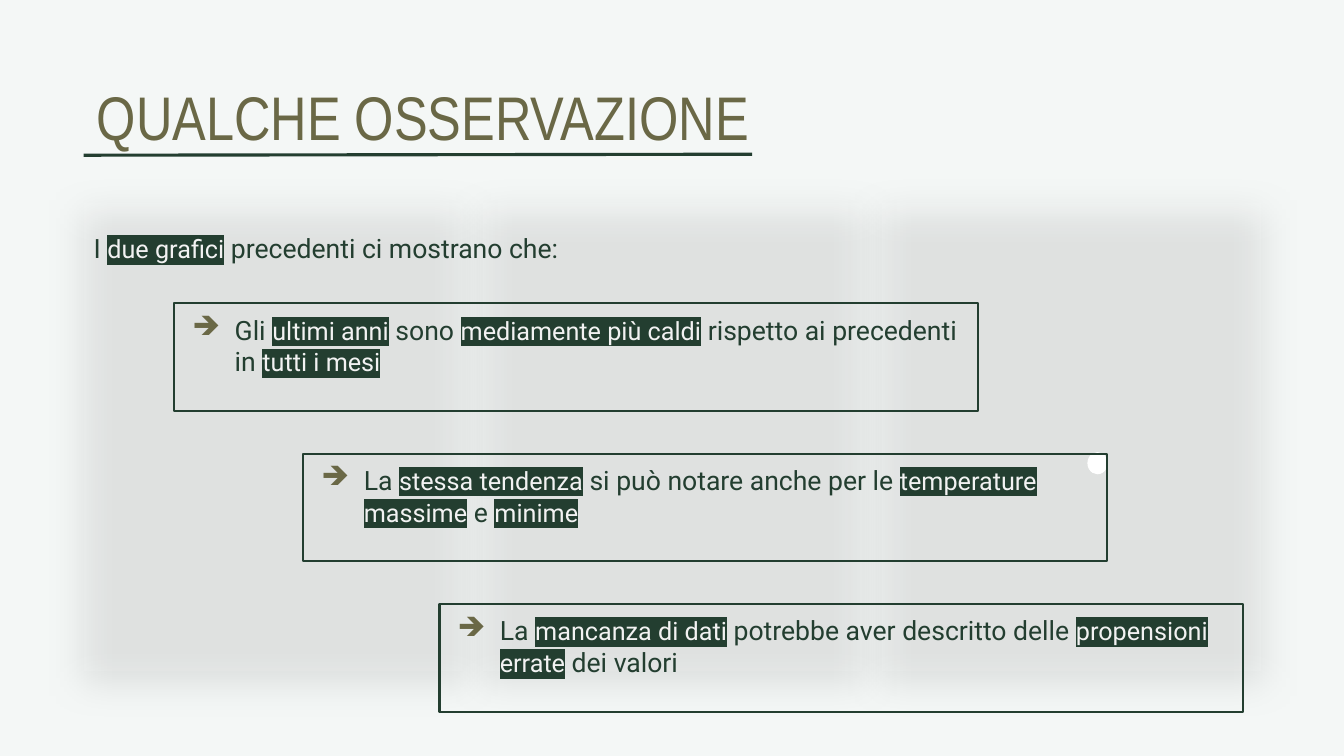
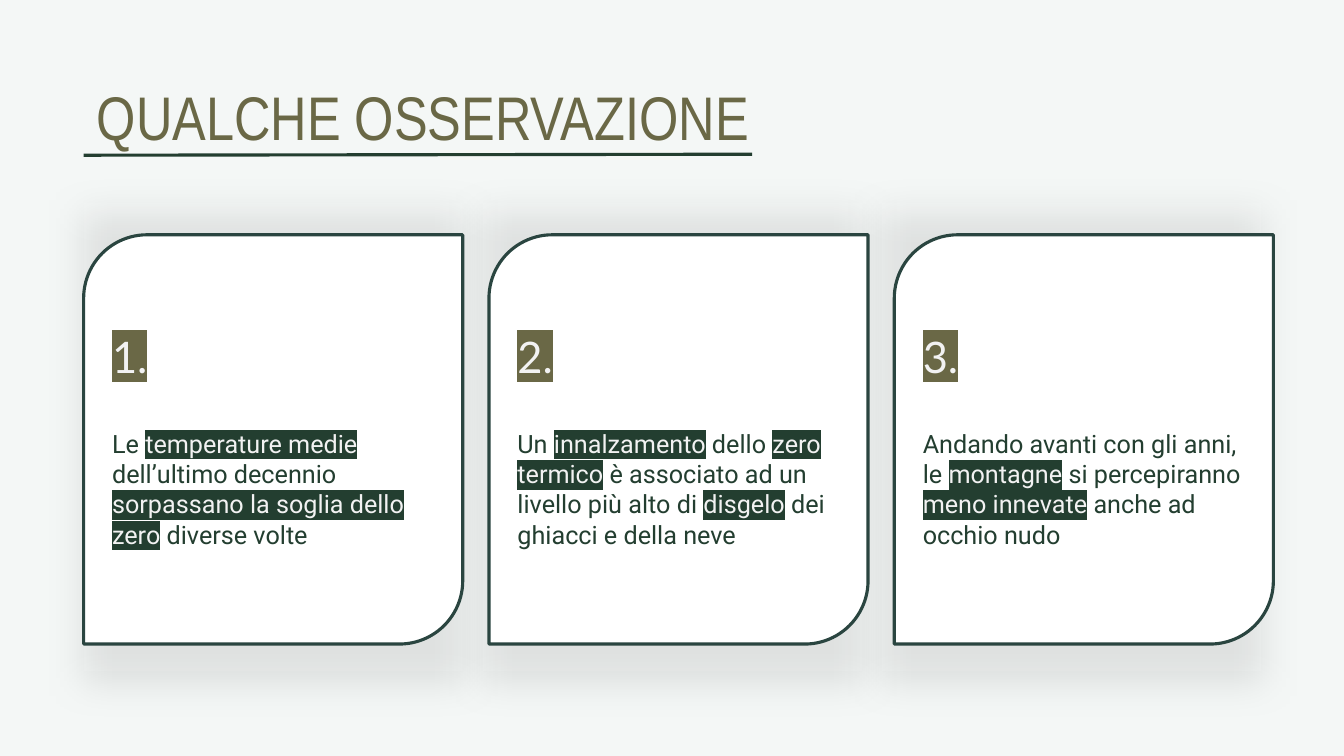
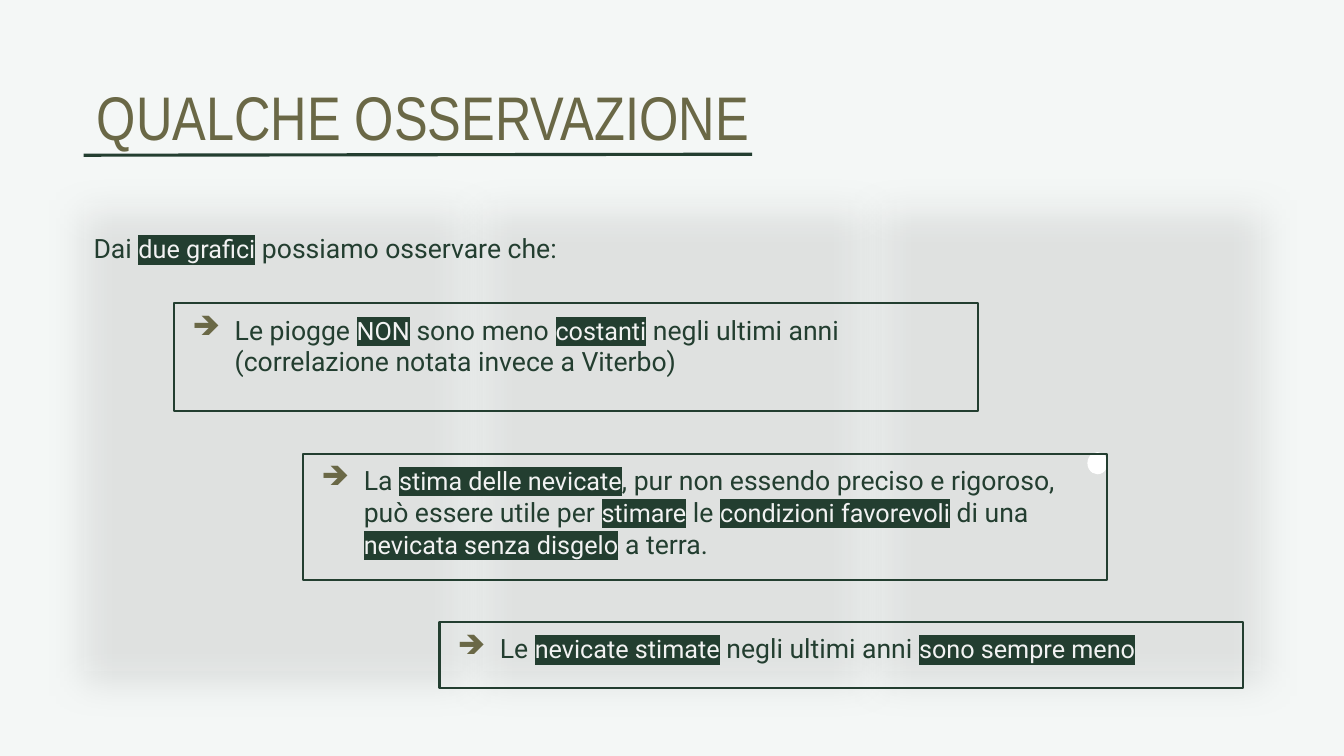
import pptx
import pptx.util
import pptx.dml.color
import pptx.enum.shapes
import pptx.enum.text
import pptx.oxml
import pptx.oxml.ns

Inches = pptx.util.Inches
Pt = pptx.util.Pt
MSO_SHAPE = pptx.enum.shapes.MSO_SHAPE
ANCHOR = pptx.enum.text.MSO_ANCHOR

COLOURS = {
    "background": "F4F7F6",
    "white": "FFFFFF",
    "light": "F2F2F2",
    "green": "233E30",
    "card_edge": "2A4540",
    "olive": "6A6846",
    "black": "000000",
}
TITLE_FONT, NUMBER_FONT, BODY_FONT = "Arial Narrow", "Lato", "Roboto"
TITLE = "QUALCHE OSSERVAZIONE"
LEFT = 0.83
COLUMN_WIDTH = 3.76
STEP_LEFTS = (1.73, 3.01, 4.36)
STEP_WIDTH, STEP_TOP, STEP_GAP = 7.97, 3.01, 0.42

# Asterisks enclose the highlighted words.
INTRO_TEMPERATURES = "I *due grafici* precedenti ci mostrano che:"
TEMPERATURES = [
    (1.07, "Gli *ultimi anni* sono *mediamente più caldi* rispetto ai precedenti in *tutti i mesi*"),
    (1.07, "La *stessa tendenza* si può notare anche per le *temperature* *massime* e *minime*"),
    (1.07, "La *mancanza di dati* potrebbe aver descritto delle *propensioni errate* dei valori"),
]
CARDS = [
    "Le *temperature medie* dell’ultimo decennio *sorpassano la soglia dello zero* diverse volte",
    "Un *innalzamento* dello *zero termico* è associato ad un livello più alto di *disgelo* "
    "dei ghiacci e della neve",
    "Andando avanti con gli anni, le *montagne* si percepiranno *meno innevate* "
    "anche ad occhio nudo",
]
INTRO_PRECIPITATION = "Dai *due grafici* possiamo osservare che:"
PRECIPITATION = [
    (1.07, "Le piogge *NON* sono meno *costanti* negli ultimi anni "
           "(correlazione notata invece a Viterbo)"),
    (1.25, "La *stima delle nevicate*, pur non essendo preciso e rigoroso, può essere utile per "
           "*stimare* le *condizioni favorevoli* di una *nevicata senza disgelo* a terra."),
    (0.66, "Le *nevicate stimate* negli ultimi anni *sono sempre meno*"),
]


def rgb(name):
    return pptx.dml.color.RGBColor.from_string(COLOURS[name])


def add_xml(parent, tag, **attributes):
    child = pptx.oxml.ns.qn(tag)
    node = parent.makeelement(child, attributes)
    parent.append(node)
    return node


# Text

def add_run(paragraph, text, size, font, colour, highlight=None):
    run = paragraph.add_run()
    run.text = text
    run.font.size = Pt(size)
    run.font.name = font
    run.font.color.rgb = rgb(colour)
    if highlight:
        properties = run.font.fill._xPr
        marker = add_xml(properties, "a:highlight")
        add_xml(marker, "a:srgbClr", val=COLOURS[highlight])
        properties.find(pptx.oxml.ns.qn("a:solidFill")).addnext(marker)


def add_marked_text(paragraph, text, size):
    for index, piece in enumerate(text.split("*")):
        if not piece:
            continue
        if index % 2:
            add_run(paragraph, piece, 18, BODY_FONT, "light", "green")
        else:
            add_run(paragraph, piece, size, BODY_FONT, "green")


def prepare_frame(frame, inset=0.1, anchor=ANCHOR.TOP):
    frame.word_wrap = True
    frame.auto_size = pptx.enum.text.MSO_AUTO_SIZE.NONE
    frame.vertical_anchor = anchor
    frame.margin_left = frame.margin_right = Inches(inset)
    frame.margin_top = frame.margin_bottom = Inches(inset)
    first = frame.paragraphs[0]
    first.alignment = pptx.enum.text.PP_ALIGN.LEFT
    return first


def set_arrow_bullet(paragraph):
    properties = paragraph._p.get_or_add_pPr()
    properties.set("marL", str(Inches(0.5)))
    properties.set("indent", str(Inches(-0.42)))
    add_xml(add_xml(properties, "a:buClr"), "a:srgbClr", val=COLOURS["olive"])
    add_xml(properties, "a:buChar", char="➔")


# Shapes

def add_box(slide, kind, left, top, width, height, fill=None, edge=None, edge_width=1.5):
    box = slide.shapes.add_shape(kind, Inches(left), Inches(top), Inches(width), Inches(height))
    box.shadow.inherit = False
    if fill:
        box.fill.solid()
        box.fill.fore_color.rgb = rgb(fill)
    else:
        box.fill.background()
    if edge:
        box.line.color.rgb = rgb(edge)
        box.line.width = Pt(edge_width)
    else:
        box.line.fill.background()
    return box


def add_panel(slide, left):
    """A faint panel with a soft shadow below it."""
    panel = add_box(slide, MSO_SHAPE.RECTANGLE, left, 2.01, COLUMN_WIDTH, 4.65, fill="white")
    colour = panel.element.spPr.find(".//" + pptx.oxml.ns.qn("a:srgbClr"))
    add_xml(colour, "a:alpha", val="10000")
    effects = panel.element.spPr.find(pptx.oxml.ns.qn("a:effectLst"))
    shadow = add_xml(effects, "a:outerShdw", blurRad=str(Pt(27)), dist=str(Pt(7.5)),
                     dir="5400000", algn="t", rotWithShape="0")
    add_xml(add_xml(shadow, "a:srgbClr", val=COLOURS["black"]), "a:alpha", val="10000")
    return panel


def add_title_rule(slide):
    rule = slide.shapes.add_connector(pptx.enum.shapes.MSO_CONNECTOR.STRAIGHT,
                                      Inches(LEFT), Inches(1.54), Inches(7.46), Inches(1.53))
    rule.line.color.rgb = rgb("green")
    rule.line.width = Pt(2.25)
    add_xml(rule.element.spPr, "a:effectLst")


def add_intro(slide, text):
    intro = slide.shapes.add_textbox(Inches(LEFT), Inches(2.2), Inches(5.15), Inches(0.66))
    add_marked_text(prepare_frame(intro.text_frame), text, 19)


def add_step(slide, left, top, height, text):
    step = add_box(slide, MSO_SHAPE.RECTANGLE, left, top, STEP_WIDTH, height, edge="green")
    paragraph = prepare_frame(step.text_frame)
    set_arrow_bullet(paragraph)
    add_marked_text(paragraph, text, 19)


def add_card(slide, left, number, text):
    card = add_box(slide, MSO_SHAPE.ROUND_2_DIAG_RECTANGLE, left, 2.33, COLUMN_WIDTH, 4.06,
                   fill="white", edge="card_edge", edge_width=2.25)
    card.adjustments[0] = 0.167
    heading = prepare_frame(card.text_frame, anchor=ANCHOR.MIDDLE)
    add_run(heading, f"{number}.", 31, NUMBER_FONT, "light", "olive")
    body = card.text_frame.add_paragraph()
    body.alignment = pptx.enum.text.PP_ALIGN.LEFT
    body.space_before = Pt(33)
    add_marked_text(body, text, 18)


# Slides

def new_slide(prs, layout):
    slide = prs.slides.add_slide(layout)
    title = slide.shapes.title
    title.left, title.top = Inches(LEFT), Inches(0.65)
    title.width, title.height = Inches(11.68), Inches(0.83)
    add_run(prepare_frame(title.text_frame, inset=0.13), TITLE, 44, TITLE_FONT, "olive")
    return slide


def share_panels(slide, layout):
    """Draw the three panels and hand them to the layout."""
    for column in range(3):
        panel = add_panel(slide, LEFT + 3.96 * column)
        layout.shapes.element.append(panel.element)


def fill_steps_slide(slide, intro, steps):
    add_title_rule(slide)
    # White dot in the corner of the second step
    add_box(slide, MSO_SHAPE.FLOWCHART_CONNECTOR, 10.79, 4.49, 0.19, 0.21,
            fill="white", edge="white", edge_width=0.75)
    add_intro(slide, intro)
    top = STEP_TOP
    for left, (height, text) in zip(STEP_LEFTS, steps):
        add_step(slide, left, top, height, text)
        top += height + STEP_GAP


def fill_cards_slide(slide):
    add_title_rule(slide)
    for index, text in enumerate(CARDS):
        add_card(slide, LEFT + 4.02 * index, index + 1, text)


def main():
    prs = pptx.Presentation()
    prs.slide_width, prs.slide_height = Inches(13.33), Inches(7.5)
    background = prs.slide_master.background.fill
    background.solid()
    background.fore_color.rgb = rgb("background")

    # Title-only layout without date, footer and number
    layout = prs.slide_layouts[5]
    for holder in list(layout.placeholders)[1:]:
        layout.shapes.element.remove(holder.element)

    temperatures, cards, precipitation = [new_slide(prs, layout) for _ in range(3)]
    share_panels(temperatures, layout)
    fill_steps_slide(temperatures, INTRO_TEMPERATURES, TEMPERATURES)
    fill_cards_slide(cards)
    fill_steps_slide(precipitation, INTRO_PRECIPITATION, PRECIPITATION)
    prs.save("out.pptx")


if __name__ == "__main__":
    main()
